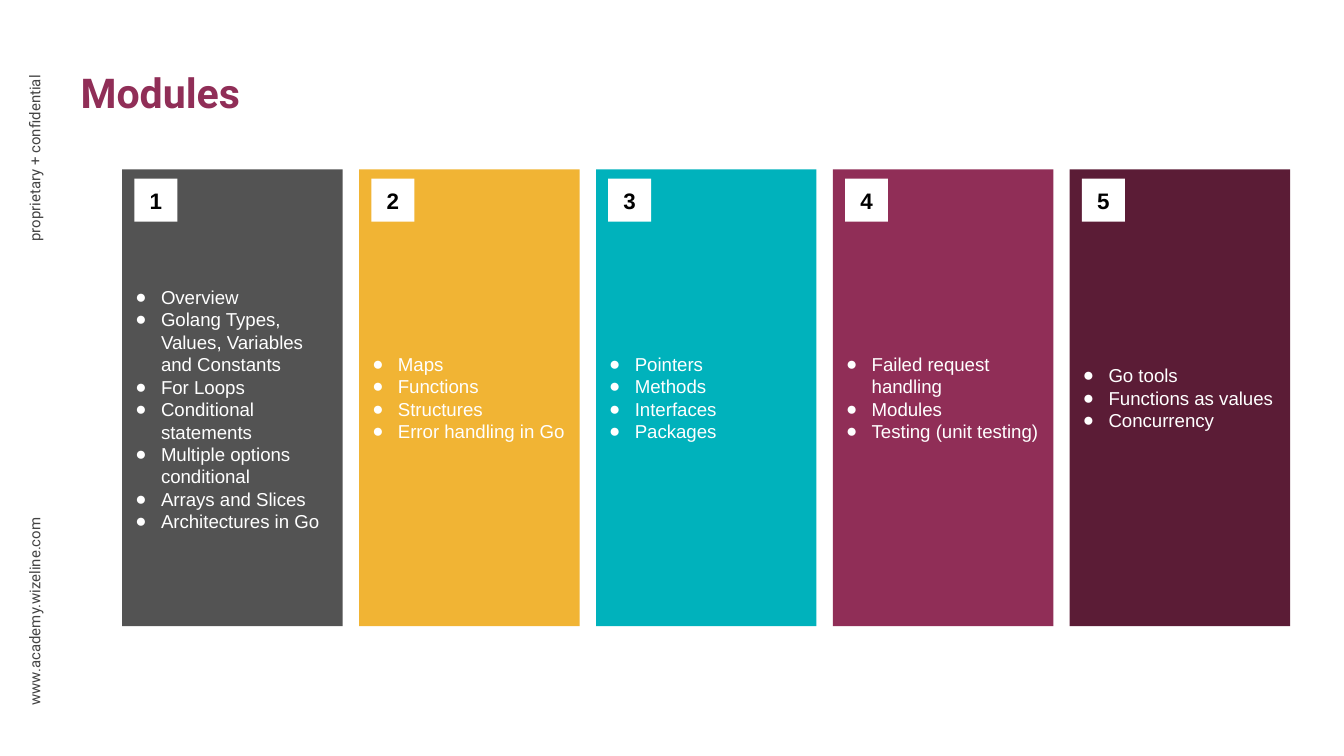
from dataclasses import dataclass

from lxml import etree
from pptx import Presentation
from pptx.dml.color import RGBColor
from pptx.enum.shapes import MSO_SHAPE
from pptx.enum.text import MSO_ANCHOR, MSO_AUTO_SIZE, PP_ALIGN
from pptx.oxml.ns import qn
from pptx.shapes.autoshape import Shape
from pptx.slide import Slide
from pptx.text.text import TextFrame, _Paragraph
from pptx.util import Inches, Pt

RECTANGLE = MSO_SHAPE.RECTANGLE
TOP, MIDDLE = MSO_ANCHOR.TOP, MSO_ANCHOR.MIDDLE
LEFT, CENTER, RIGHT = PP_ALIGN.LEFT, PP_ALIGN.CENTER, PP_ALIGN.RIGHT
NO_AUTOFIT = MSO_AUTO_SIZE.NONE
TITLE_ONLY_LAYOUT = 5

COLORS = {
    "white": "FFFFFF",
    "black": "000000",
    "side_text": "434343",
    "gray": "535353",
    "yellow": "F1B434",
    "teal": "00B2BC",
    "magenta": "902E57",
    "plum": "5B1C36",
}

# Slide size (16:9) and column grid, in inches
SLIDE_WIDTH = 10
SLIDE_HEIGHT = SLIDE_WIDTH * 9 / 16
FIRST_LEFT, LAST_RIGHT = 0.91, 9.6
COLUMN_TOP, COLUMN_WIDTH, COLUMN_HEIGHT = 1.26, 1.64, 3.4
BADGE_OFFSET_X, BADGE_OFFSET_Y, BADGE_SIZE = 0.09, 0.07, 0.32
BULLET_INDENT = 0.19
INSET = 0.1


@dataclass(frozen=True)
class Module:
    color: str
    topics: tuple[str, ...]
    top_inset: float = INSET


@dataclass(frozen=True)
class SideLabel:
    text: str
    left: float
    top: float
    width: float
    alignment: PP_ALIGN


MODULES = (
    Module("gray", ("Overview", "Golang Types, Values, Variables and Constants", "For Loops",
                    "Conditional statements", "Multiple options conditional",
                    "Arrays and Slices", "Architectures in Go"), top_inset=0.27),
    Module("yellow", ("Maps", "Functions", "Structures", "Error handling in Go")),
    Module("teal", ("Pointers", "Methods", "Interfaces", "Packages")),
    Module("magenta", ("Failed request handling", "Modules", "Testing (unit testing)")),
    Module("plum", ("Go tools", "Functions as values", "Concurrency")),
)

SIDE_LABELS = (
    SideLabel("www.academy.wizeline.com", -0.5, 4.44, 1.5, LEFT),
    SideLabel("proprietary + confidential", -0.51, 1.22, 1.52, RIGHT),
)


def rgb(name: str) -> RGBColor:
    return RGBColor.from_string(COLORS[name])


def set_frame(frame: TextFrame, inset: float, anchor: MSO_ANCHOR) -> None:
    frame.word_wrap = True
    frame.auto_size = NO_AUTOFIT
    frame.vertical_anchor = anchor
    frame.margin_left = frame.margin_right = Inches(inset)
    frame.margin_top = frame.margin_bottom = Inches(inset)


def add_run(paragraph: _Paragraph, text: str, font_name: str, size: float,
            color: str, bold: bool = False) -> None:
    run = paragraph.add_run()
    run.text = text
    run.font.name = font_name
    run.font.size = Pt(size)
    run.font.bold = bold
    run.font.color.rgb = rgb(color)


def add_bullet(paragraph: _Paragraph) -> None:
    properties = paragraph._p.get_or_add_pPr()
    properties.set("marL", str(Inches(BULLET_INDENT)))
    properties.set("indent", str(-Inches(BULLET_INDENT)))
    bullet_color = etree.SubElement(properties, qn("a:buClr"))
    etree.SubElement(bullet_color, qn("a:srgbClr"), val=COLORS["white"])
    etree.SubElement(properties, qn("a:buFont"), typeface="Arial")
    etree.SubElement(properties, qn("a:buChar"), char="●")


def add_rectangle(slide: Slide, left: float, top: float, width: float,
                  height: float, color: str) -> Shape:
    shape = slide.shapes.add_shape(RECTANGLE, Inches(left), Inches(top),
                                   Inches(width), Inches(height))
    shape.shadow.inherit = False
    shape.fill.solid()
    shape.fill.fore_color.rgb = rgb(color)
    shape.line.fill.background()
    set_frame(shape.text_frame, INSET, MIDDLE)
    return shape


def add_module(slide: Slide, number: int, left: float, module: Module) -> None:
    # Column with its topics
    column = add_rectangle(slide, left, COLUMN_TOP, COLUMN_WIDTH, COLUMN_HEIGHT, module.color)
    frame = column.text_frame
    frame.margin_top = Inches(module.top_inset)
    for index, topic in enumerate(module.topics):
        paragraph = frame.add_paragraph() if index else frame.paragraphs[0]
        paragraph.alignment = LEFT
        add_bullet(paragraph)
        add_run(paragraph, topic, "Arial", 10, "white")

    # Number badge
    badge = add_rectangle(slide, left + BADGE_OFFSET_X, COLUMN_TOP + BADGE_OFFSET_Y,
                          BADGE_SIZE, BADGE_SIZE, "white")
    paragraph = badge.text_frame.paragraphs[0]
    paragraph.alignment = CENTER
    add_run(paragraph, str(number), "Arial", 12, "black", bold=True)


def add_side_label(slide: Slide, label: SideLabel) -> None:
    box = slide.shapes.add_textbox(Inches(label.left), Inches(label.top),
                                   Inches(label.width), Inches(0.16))
    box.rotation = 270
    set_frame(box.text_frame, 0.02, TOP)
    paragraph = box.text_frame.paragraphs[0]
    paragraph.alignment = label.alignment
    add_run(paragraph, label.text, "Roboto", 8, "side_text")


def add_title(slide: Slide, text: str) -> None:
    title = slide.shapes.title
    title.left, title.top = Inches(0.5), Inches(0.4)
    title.width, title.height = Inches(8.25), Inches(0.72)
    set_frame(title.text_frame, INSET, TOP)
    paragraph = title.text_frame.paragraphs[0]
    paragraph.alignment = LEFT
    add_run(paragraph, text, "Roboto", 22, "magenta", bold=True)


def main() -> None:
    presentation = Presentation()
    presentation.slide_width = Inches(SLIDE_WIDTH)
    presentation.slide_height = Inches(SLIDE_HEIGHT)
    slide = presentation.slides.add_slide(presentation.slide_layouts[TITLE_ONLY_LAYOUT])

    for label in SIDE_LABELS:
        add_side_label(slide, label)
    add_title(slide, "Modules")

    # Evenly spaced columns
    pitch = (LAST_RIGHT - COLUMN_WIDTH - FIRST_LEFT) / (len(MODULES) - 1)
    for index, module in enumerate(MODULES):
        add_module(slide, index + 1, FIRST_LEFT + index * pitch, module)

    presentation.save("out.pptx")


if __name__ == "__main__":
    main()
